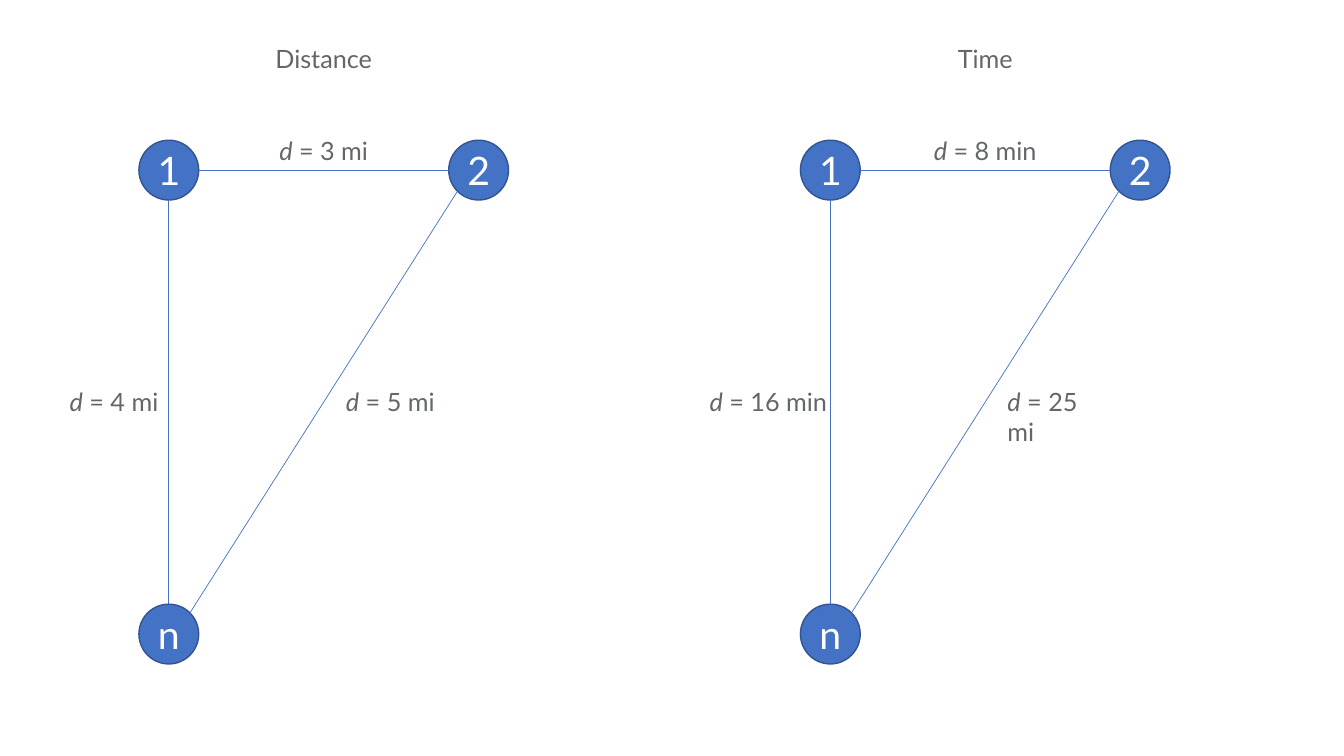
from math import sqrt

from lxml import etree
from pptx import Presentation
from pptx.dml.color import RGBColor
from pptx.enum.shapes import MSO_CONNECTOR, MSO_SHAPE
from pptx.enum.text import MSO_ANCHOR, MSO_AUTO_SIZE, PP_ALIGN
from pptx.oxml.ns import qn
from pptx.util import Inches, Pt

ELLIPSE = MSO_SHAPE.OVAL
STRAIGHT = MSO_CONNECTOR.STRAIGHT
MIDDLE, TOP = MSO_ANCHOR.MIDDLE, MSO_ANCHOR.TOP
CENTER, LEFT = PP_ALIGN.CENTER, PP_ALIGN.LEFT
GROW = MSO_AUTO_SIZE.SHAPE_TO_FIT_TEXT

COLORS = {"node": "4472C4", "outline": "325491", "number": "FFFFFF", "label": "63666A"}
FONT = "Lato"

deck = Presentation()
deck.slide_width, deck.slide_height = Inches(13.33), Inches(7.5)
slide = deck.slides.add_slide(deck.slide_layouts[6])

COL = deck.slide_width / 100
ROW = deck.slide_height / 100
DIAMETER = 4.45 * COL
RADIUS = DIAMETER / 2
DIAGONAL = RADIUS / sqrt(2)
LABEL_HEIGHT = 5.33 * ROW
TITLE_ROW, TOP_ROW, EDGE_ROW, SIDE_ROW, BOTTOM_ROW = 7.73, 22.5, 19.87, 53.07, 83.87
NODE_GAP = 23.05


def write(frame, runs, size, color, align, anchor):
    frame.word_wrap = True
    frame.vertical_anchor = anchor
    paragraph = frame.paragraphs[0]
    paragraph.alignment = align
    for words, italic in runs:
        run = paragraph.add_run()
        run.text = words
        run.font.name = FONT
        run.font.size = Pt(size)
        run.font.italic = italic
        run.font.color.rgb = RGBColor.from_string(COLORS[color])


def add_label(left, row, width, runs, align=CENTER):
    label = slide.shapes.add_textbox(
        int(left), int(row * ROW - LABEL_HEIGHT / 2), int(width), int(LABEL_HEIGHT)
    )
    write(label.text_frame, runs, 18, "label", align, TOP)
    label.text_frame.auto_size = GROW


panels = [
    ("Distance", 12.56, 8.48, " = 3 mi", " = 4 mi", " = 5 mi"),
    ("Time", 61.78, 57.16, " = 8 min", " = 16 min", " = 25 mi"),
]

for title, node_col, side_col, top_cost, side_cost, diagonal_cost in panels:
    first_x, second_x = node_col * COL, (node_col + NODE_GAP) * COL
    top_y, bottom_y = TOP_ROW * ROW, BOTTOM_ROW * ROW

    nodes = [("1", first_x, top_y), ("2", second_x, top_y), ("n", first_x, bottom_y)]
    for number, x, y in nodes:
        node = slide.shapes.add_shape(
            ELLIPSE, int(x - RADIUS), int(y - RADIUS), int(DIAMETER), int(DIAMETER)
        )
        node.shadow.inherit = False
        node.fill.solid()
        node.fill.fore_color.rgb = RGBColor.from_string(COLORS["node"])
        node.line.color.rgb = RGBColor.from_string(COLORS["outline"])
        node.line.width = Pt(1)
        write(node.text_frame, [(number, False)], 28, "number", CENTER, MIDDLE)

    edges = [
        (first_x + RADIUS, top_y, second_x - RADIUS, top_y),
        (first_x, top_y + RADIUS, first_x, bottom_y - RADIUS),
        (first_x + DIAGONAL, bottom_y - DIAGONAL, second_x - DIAGONAL, top_y + DIAGONAL),
    ]
    for ends in edges:
        edge = slide.shapes.add_connector(STRAIGHT, *map(int, ends))
        edge.line.color.rgb = RGBColor.from_string(COLORS["node"])
        edge.line.width = Pt(0.5)
        etree.SubElement(edge._element.spPr, qn("a:effectLst"))

    middle_x = (first_x + second_x) / 2
    label_width = 10.5 * COL
    add_label(middle_x - label_width / 2, TITLE_ROW, label_width, [(title, False)])
    add_label(middle_x - label_width / 2, EDGE_ROW, label_width, [("d", True), (top_cost, False)])
    add_label(side_col * COL - label_width / 2, SIDE_ROW, label_width, [("d", True), (side_cost, False)])
    add_label((node_col + 12.44) * COL, SIDE_ROW, 9 * COL, [("d", True), (diagonal_cost, False)], LEFT)

deck.save("out.pptx")
